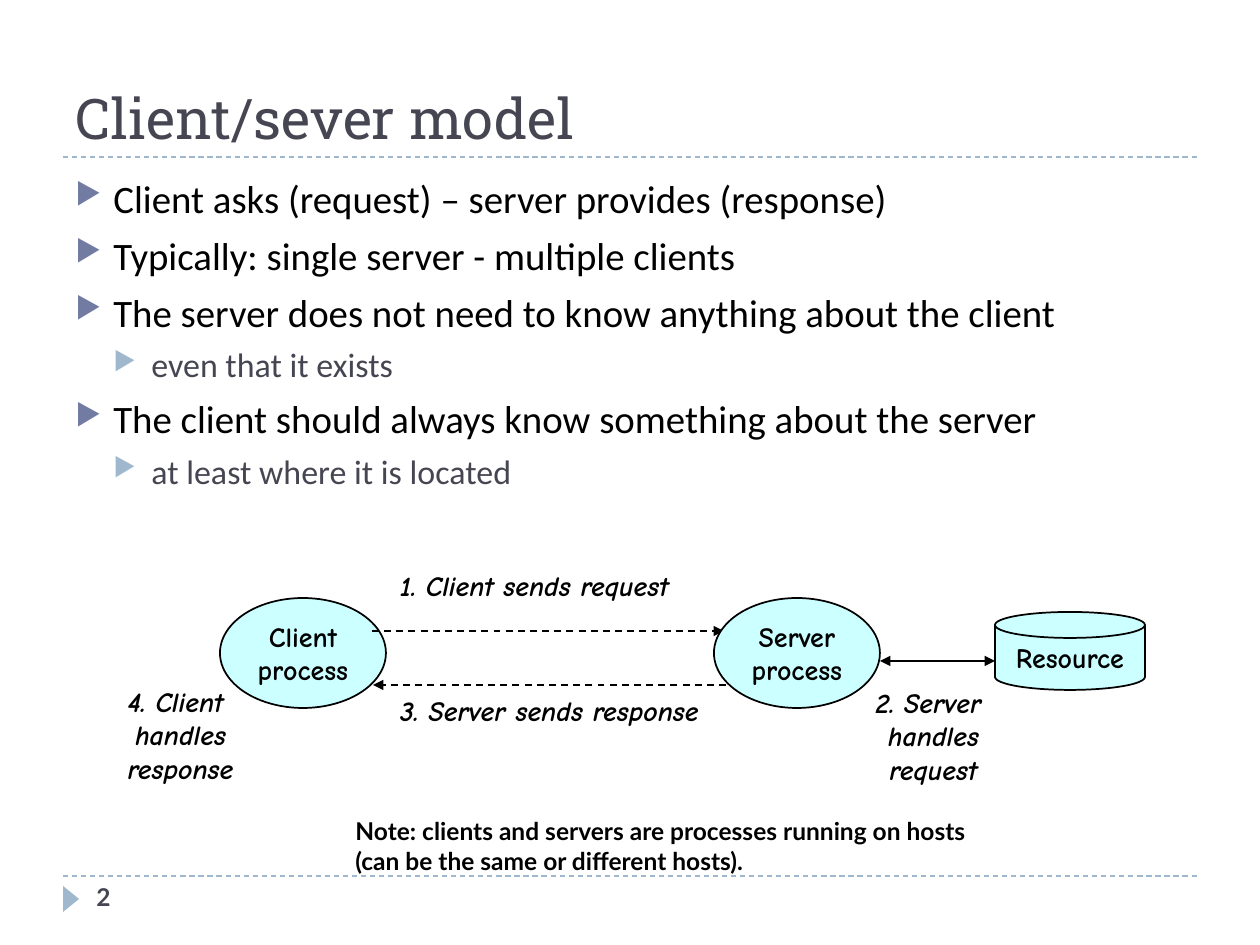
from lxml import etree
from pptx import Presentation
from pptx import util as u
from pptx.dml.color import RGBColor
from pptx.enum import dml, shapes, text
from pptx.oxml.ns import qn

SCALE = 914400 / 126  # EMU per px
COLORS = {"ink": "000000", "slate": "464653", "indigo": "727CA3",
          "sky": "9FB8CD", "aqua": "CCFFFF"}


def px(*lengths):
    return [u.Emu(round(length * SCALE)) for length in lengths]


def write(shape, lines, font, size, color="ink", bold=False, italic=False,
          align=text.PP_ALIGN.LEFT, anchor=text.MSO_ANCHOR.TOP, wrap=False):
    frame = shape.text_frame
    frame.text = "\n".join(lines)
    frame.word_wrap = wrap
    frame.vertical_anchor = anchor
    for paragraph in frame.paragraphs:
        paragraph.alignment = align
        paragraph.font.name = font
        paragraph.font.size = u.Pt(size)
        paragraph.font.bold = bold
        paragraph.font.italic = italic
        paragraph.font.color.rgb = RGBColor.from_string(COLORS[color])


presentation = Presentation()
presentation.slide_width, presentation.slide_height = px(1260, 945)
slide = presentation.slides.add_slide(presentation.slide_layouts[5])
centered = {"align": text.PP_ALIGN.CENTER, "anchor": text.MSO_ANCHOR.MIDDLE}

# Title
title = slide.shapes.title
title.left, title.top, title.width, title.height = px(63, 21, 1134, 136)
write(title, ["Client/sever model"], "Roboto Slab", 32, "slate",
      anchor=text.MSO_ANCHOR.BOTTOM, wrap=True)

# Bulleted list
bullets = [
    (0, "Client asks (request) – server provides (response)"),
    (0, "Typically: single server - multiple clients"),
    (0, "The server does not need to know anything about the client"),
    (1, "even that it exists"),
    (0, "The client should always know something about the server"),
    (1, "at least where it is located"),
]
level_styles = [(22.2, "ink", "indigo", 6), (19.4, "slate", "sky", 5)]
body = slide.shapes.add_textbox(*px(63, 168, 1134, 384))
write(body, [line for level, line in bullets], "Calibri", 22.2, wrap=True)
for paragraph, (level, line) in zip(body.text_frame.paragraphs, bullets):
    size, color, bullet_color, space = level_styles[level]
    paragraph.level = level
    paragraph.space_before = u.Pt(space)
    paragraph.font.size = u.Pt(size)
    paragraph.font.color.rgb = RGBColor.from_string(COLORS[color])
    properties = paragraph._p.get_or_add_pPr()
    indent = px(38)[0]
    properties.set("marL", str(indent * (level + 1)))
    properties.set("indent", str(-indent))
    tint = etree.Element(qn("a:buClr"))
    etree.SubElement(tint, qn("a:srgbClr"), val=COLORS[bullet_color])
    ratio = etree.Element(qn("a:buSzPct"), val="76000")
    mark = etree.Element(qn("a:buChar"), char="▶")
    position = len(properties.findall(qn("a:spcBef")))
    position += len(properties.findall(qn("a:lnSpc")))
    for element in (mark, ratio, tint):
        properties.insert(position, element)

# Processes and resource: preset, box, lines
nodes = [
    (shapes.MSO_SHAPE.OVAL, (220, 598, 166, 110), ["Client", "process"]),
    (shapes.MSO_SHAPE.OVAL, (714, 598, 166, 110), ["Server", "process"]),
    (shapes.MSO_SHAPE.FLOWCHART_MAGNETIC_DISK, (995, 612, 150, 78), ["Resource"]),
]
for preset, box, lines in nodes:
    shape = slide.shapes.add_shape(preset, *px(*box))
    shape.shadow.inherit = False
    shape.fill.solid()
    shape.fill.fore_color.rgb = RGBColor.from_string(COLORS["aqua"])
    shape.line.color.rgb = RGBColor.from_string(COLORS["ink"])
    shape.line.width = u.Pt(1)
    write(shape, lines, "Comic Neue", 16, bold=True, **centered)
server = slide.shapes[-2]

# Rules and arrows: ends, colour, width, dashed, arrowheads
connectors = [
    ((63, 157, 1197, 157), "sky", 0.75, True, []),
    ((63, 876, 1197, 876), "sky", 0.75, True, []),
    ((372, 631, 724, 631), "ink", 1, True, ["tailEnd"]),
    ((726, 685, 373, 685), "ink", 1, True, ["tailEnd"]),
    ((880, 661, 995, 661), "ink", 1, False, ["headEnd", "tailEnd"]),
]
for ends, color, width, dashed, arrowheads in connectors:
    connector = slide.shapes.add_connector(shapes.MSO_CONNECTOR.STRAIGHT, *px(*ends))
    connector.line.color.rgb = RGBColor.from_string(COLORS[color])
    connector.line.width = u.Pt(width)
    if dashed:
        connector.line.dash_style = dml.MSO_LINE.DASH
    for arrowhead in arrowheads:
        etree.SubElement(connector.line._get_or_add_ln(), qn("a:" + arrowhead),
                         type="triangle")
    etree.SubElement(connector._element.spPr, qn("a:effectLst"))
    if arrowheads and ends[0] == 372:  # the request arrow ends behind the server
        server._element.addprevious(connector._element)

# Step labels
labels = [
    ((387, 562, 295, 47), ["1. Client sends request"]),
    ((863, 679, 141, 113), ["2. Server ", "handles", "request"]),
    ((387, 687, 325, 47), ["3. Server sends response"]),
    ((115, 678, 131, 113), ["4. Client ", "handles", "response"]),
]
for box, lines in labels:
    label = slide.shapes.add_textbox(*px(*box))
    write(label, lines, "Comic Neue", 16, bold=True, italic=True, **centered)

# Note
note = slide.shapes.add_textbox(*px(343, 810, 725, 72))
write(note, ["Note: clients and servers are processes running on hosts",
             "(can be the same or different hosts)."], "Lato", 14, bold=True)

# Page marker and number
marker = slide.shapes.add_shape(shapes.MSO_SHAPE.ISOSCELES_TRIANGLE,
                                *px(58, 891, 26, 16))
marker.rotation = 90
marker.shadow.inherit = False
marker.fill.solid()
marker.fill.fore_color.rgb = RGBColor.from_string(COLORS["sky"])
marker.line.fill.background()
number = slide.shapes.add_textbox(*px(84, 876, 273, 50))
write(number, ["2"], "Lato", 14, "slate", bold=True, wrap=True)

presentation.save("out.pptx")
